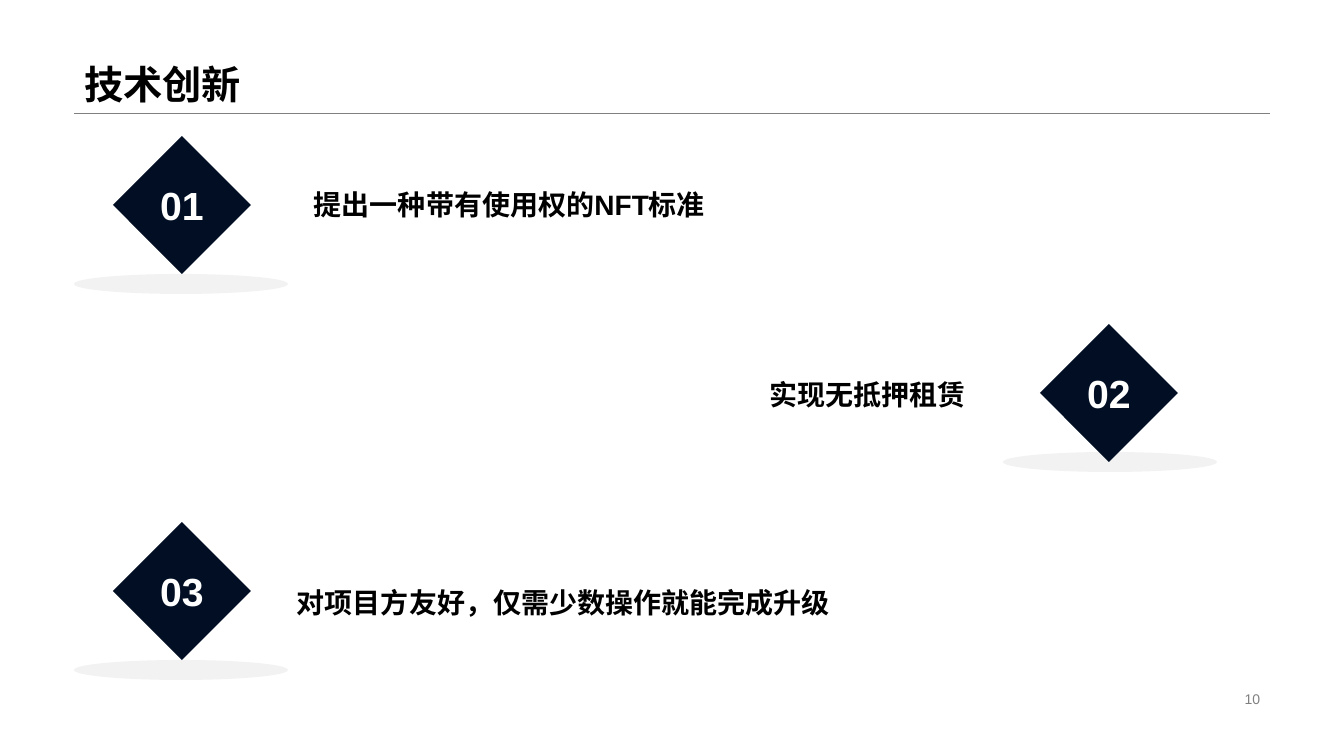
from dataclasses import dataclass

from lxml import etree
from pptx import Presentation
from pptx.dml.color import RGBColor
from pptx.enum.shapes import MSO_CONNECTOR, MSO_SHAPE
from pptx.enum.text import MSO_ANCHOR, MSO_AUTO_SIZE, PP_ALIGN
from pptx.oxml.ns import qn
from pptx.util import Pt

LEFT, MID, RIGHT = PP_ALIGN.LEFT, PP_ALIGN.CENTER, PP_ALIGN.RIGHT
CENTER, BOTTOM = MSO_ANCHOR.MIDDLE, MSO_ANCHOR.BOTTOM
OVAL, DIAMOND = MSO_SHAPE.OVAL, MSO_SHAPE.DIAMOND

BLACK = RGBColor(0x00, 0x00, 0x00)
WHITE = RGBColor(0xFF, 0xFF, 0xFF)
NAVY = RGBColor(0x01, 0x0E, 0x23)
GRAY = RGBColor(0x80, 0x80, 0x80)
PALE = RGBColor(0xF2, 0xF2, 0xF2)

EDGE, END, RULE = 74, 1270, 113
GEM = 138
DISC_W, DISC_H = 214, 20
TEXT_H = 48


@dataclass(frozen=True)
class Point:
    """One numbered point: diamond, shadow disc and text, in pixels."""
    num: str
    text: str
    gem: tuple[int, int]
    disc: tuple[int, int]
    box: tuple[int, int, int]
    align: PP_ALIGN = LEFT


POINTS = [
    Point("01", "提出一种带有使用权的NFT标准", (113, 136), (EDGE, 274), (304, 178, 751)),
    Point("02", "实现无抵押租赁", (1040, 324), (1003, 452), (251, 368, 725), RIGHT),
    Point("03", "对项目方友好，仅需少数操作就能完成升级", (113, 522), (EDGE, 660),
          (287, 576, 751)),
]


def px(*vals: int) -> list[int]:
    """Turn pixels into EMU."""
    return [round(val * 914400 / 100.8) for val in vals]


def write(shape, text: str, size: int, color: RGBColor, align: PP_ALIGN,
          anchor: MSO_ANCHOR, bold: bool = True):
    """Put one styled paragraph into a shape and return it."""
    frame = shape.text_frame
    frame.word_wrap = True
    frame.auto_size = MSO_AUTO_SIZE.NONE
    frame.vertical_anchor = anchor
    para = frame.paragraphs[0]
    para.text = text
    para.alignment = align
    font = para.font
    font.name, font.size, font.bold = "Arial", Pt(size), bold
    font.color.rgb = color
    return para


def add_form(slide, kind: MSO_SHAPE, color: RGBColor, *area: int):
    """Add a flat filled shape without outline."""
    shape = slide.shapes.add_shape(kind, *px(*area))
    shape.shadow.inherit = False
    shape.fill.solid()
    shape.fill.fore_color.rgb = color
    shape.line.fill.background()
    return shape


def add_rule(slide) -> None:
    """Draw the thin line below the title."""
    rule = slide.shapes.add_connector(
        MSO_CONNECTOR.STRAIGHT, *px(EDGE, RULE, END, RULE))
    rule.line.color.rgb = GRAY
    rule.line.width = Pt(0.25)
    etree.SubElement(rule._element.spPr, qn("a:effectLst"))


def add_title(slide, text: str) -> None:
    """Place and fill the title."""
    title = slide.shapes.title
    title.left, title.top, title.width, title.height = px(
        EDGE, 0, END - EDGE, RULE)
    write(title, text, 28, BLACK, LEFT, BOTTOM).line_spacing = 0.9


def add_point(slide, point: Point) -> None:
    """Draw one numbered point."""
    add_form(slide, OVAL, PALE, *point.disc, DISC_W, DISC_H)
    gem = add_form(slide, DIAMOND, NAVY, *point.gem, GEM, GEM)
    frame = gem.text_frame
    frame.margin_left = frame.margin_right = 0
    frame.margin_top = frame.margin_bottom = 0
    write(gem, point.num, 28, WHITE, MID, CENTER)
    box = slide.shapes.add_textbox(*px(*point.box, TEXT_H))
    write(box, point.text, 20, BLACK, point.align, BOTTOM)


def main() -> None:
    """Build the deck and save it."""
    deck = Presentation()
    deck.slide_width, deck.slide_height = px(1344, 756)
    slide = deck.slides.add_slide(deck.slide_layouts[5])
    add_rule(slide)
    add_title(slide, "技术创新")
    page = slide.shapes.add_textbox(*px(950, 687, 320, 23))
    write(page, "10", 10, GRAY, RIGHT, CENTER, bold=False)
    for point in POINTS:
        add_point(slide, point)
    deck.save("out.pptx")


main()
